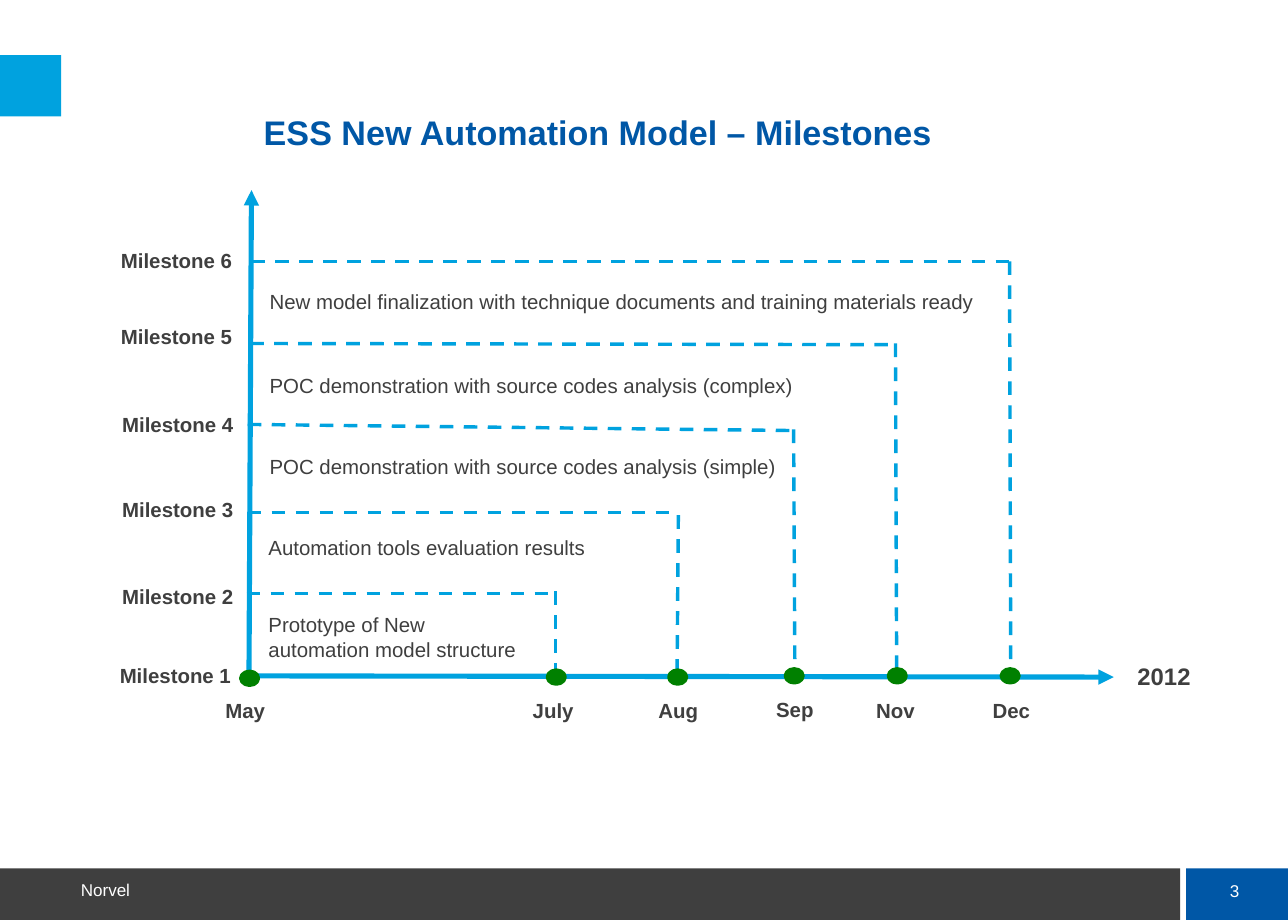
from dataclasses import dataclass
from typing import NamedTuple

from lxml.etree import SubElement
from pptx import Presentation
from pptx.dml.color import RGBColor
from pptx.enum.dml import MSO_LINE
from pptx.enum.shapes import MSO_CONNECTOR, MSO_SHAPE
from pptx.enum.text import MSO_ANCHOR, PP_ALIGN
from pptx.oxml.ns import qn
from pptx.slide import Slide
from pptx.util import Emu, Pt

EMU_PER_PX = 9144  # 100 px to the inch
FONT = "Arial"
SKY, BLUE, GREEN = "00A2DF", "0057A6", "008000"
GREY, WHITE = "3F3F3F", "FFFFFF"


class Point(NamedTuple):
    x: int
    y: int


class Box(NamedTuple):
    left: int
    top: int
    width: int
    height: int


@dataclass(frozen=True)
class Style:
    size: int = 12
    color: str = GREY
    bold: bool = False
    align: PP_ALIGN = PP_ALIGN.LEFT
    anchor: MSO_ANCHOR = MSO_ANCHOR.TOP
    inset: int = 10
    spacing: float = 1.0


@dataclass(frozen=True)
class Milestone:
    label: str
    label_box: Box
    month: str
    month_box: Box
    dot: Point


@dataclass(frozen=True)
class Step:
    level: tuple[Point, Point]
    drop: tuple[Point, Point]
    note: str
    note_box: Box


NOTE = Style()
LABEL = Style(bold=True, align=PP_ALIGN.CENTER)
YEAR = Style(size=14, bold=True, align=PP_ALIGN.CENTER)
TITLE = Style(size=20, color=BLUE, bold=True, align=PP_ALIGN.CENTER, inset=0, spacing=0.9)
FOOTER = Style(size=10, color=WHITE, anchor=MSO_ANCHOR.BOTTOM, inset=0)
PAGE = Style(size=10, color=WHITE, align=PP_ALIGN.CENTER, anchor=MSO_ANCHOR.MIDDLE, inset=0)

MILESTONES = [
    Milestone("Milestone 1", Box(87, 531, 112, 40), "May", Box(170, 559, 60, 40), Point(197, 548)),
    Milestone("Milestone 2", Box(87, 466, 116, 40), "July", Box(421, 559, 60, 40), Point(447, 547)),
    Milestone("Milestone 3", Box(87, 395, 116, 40), "Aug", Box(523, 559, 60, 40), Point(546, 547)),
    Milestone("Milestone 4", Box(87, 326, 116, 40), "Sep", Box(618, 558, 60, 40), Point(641, 546)),
    Milestone("Milestone 5", Box(86, 254, 116, 40), "Nov", Box(700, 559, 60, 40), Point(725, 546)),
    Milestone("Milestone 6", Box(86, 192, 116, 40), "Dec", Box(797, 559, 55, 40), Point(817, 546)),
]

STEPS = [
    Step((Point(201, 484), Point(454, 484)), (Point(453, 482), Point(453, 547)),
         "Prototype of New automation model structure", Box(209, 489, 228, 60)),
    Step((Point(202, 418), Point(551, 418)), (Point(553, 420), Point(552, 548)),
         "Automation tools evaluation results", Box(209, 426, 343, 40)),
    Step((Point(202, 346), Point(646, 351)), (Point(647, 350), Point(648, 550)),
         "POC demonstration with source codes analysis (simple)", Box(210, 360, 463, 40)),
    Step((Point(204, 280), Point(730, 281)), (Point(730, 280), Point(731, 549)),
         "POC demonstration with source codes analysis (complex)", Box(210, 294, 463, 40)),
    Step((Point(205, 213), Point(823, 213)), (Point(823, 213), Point(824, 545)),
         "New model finalization with technique documents and training materials ready",
         Box(210, 226, 612, 40)),
]


def px(length: int) -> Emu:
    return Emu(length * EMU_PER_PX)


def rgb(color: str) -> RGBColor:
    return RGBColor.from_string(color)


def add_text(slide: Slide, box: Box, text: str, style: Style) -> None:
    frame = slide.shapes.add_textbox(*map(px, box)).text_frame
    frame.word_wrap = True
    frame.vertical_anchor = style.anchor
    frame.margin_left = frame.margin_right = px(style.inset)
    frame.margin_top = frame.margin_bottom = px(style.inset)
    paragraph = frame.paragraphs[0]
    paragraph.alignment = style.align
    paragraph.line_spacing = style.spacing
    run = paragraph.add_run()
    run.text = text
    run.font.name = FONT
    run.font.size = Pt(style.size)
    run.font.bold = style.bold
    run.font.color.rgb = rgb(style.color)


def add_block(slide: Slide, box: Box, color: str, kind: MSO_SHAPE = MSO_SHAPE.RECTANGLE,
              outline: int = 0) -> None:
    block = slide.shapes.add_shape(kind, *map(px, box))
    block.shadow.inherit = False
    block.fill.solid()
    block.fill.fore_color.rgb = rgb(color)
    if outline:
        block.line.color.rgb = rgb(color)
        block.line.width = Pt(outline)
    else:
        block.line.fill.background()


def add_line(slide: Slide, start: Point, end: Point, width: int, dashed: bool = False,
             arrow: bool = False) -> None:
    line = slide.shapes.add_connector(MSO_CONNECTOR.STRAIGHT, *map(px, start + end))
    line.line.color.rgb = rgb(SKY)
    line.line.width = Pt(width)
    if dashed:
        line.line.dash_style = MSO_LINE.DASH
    properties = line.element.spPr
    if arrow:
        SubElement(properties.find(qn("a:ln")), qn("a:tailEnd"), type="triangle")
    SubElement(properties, qn("a:effectLst"))


def main() -> None:
    deck = Presentation()
    deck.slide_width, deck.slide_height = px(1050), px(750)
    slide = deck.slides.add_slide(deck.slide_layouts[6])

    # Page frame
    add_block(slide, Box(0, 708, 962, 42), GREY)
    add_block(slide, Box(967, 708, 83, 42), BLUE)
    add_block(slide, Box(0, 45, 50, 50), SKY)
    add_text(slide, Box(982, 713, 49, 27), "3", PAGE)
    add_text(slide, Box(66, 715, 419, 19), "Norvel", FOOTER)
    add_text(slide, Box(111, 95, 753, 39), "ESS New Automation Model – Milestones", TITLE)

    # Axes
    add_line(slide, Point(198, 551), Point(908, 552), 3, arrow=True)
    add_line(slide, Point(203, 547), Point(205, 155), 3, arrow=True)
    add_text(slide, Box(917, 529, 64, 43), "2012", YEAR)

    # Dashed steps and their notes
    for step in STEPS:
        add_line(slide, *step.level, 2, dashed=True)
        add_line(slide, *step.drop, 2, dashed=True)
        add_text(slide, step.note_box, step.note, NOTE)

    # Milestone labels, months and dots
    for milestone in MILESTONES:
        add_text(slide, milestone.label_box, milestone.label, LABEL)
        add_text(slide, milestone.month_box, milestone.month, LABEL)
        add_block(slide, Box(*milestone.dot, 13, 10), GREEN,
                  MSO_SHAPE.FLOWCHART_CONNECTOR, outline=3)

    deck.save("out.pptx")


if __name__ == "__main__":
    main()
